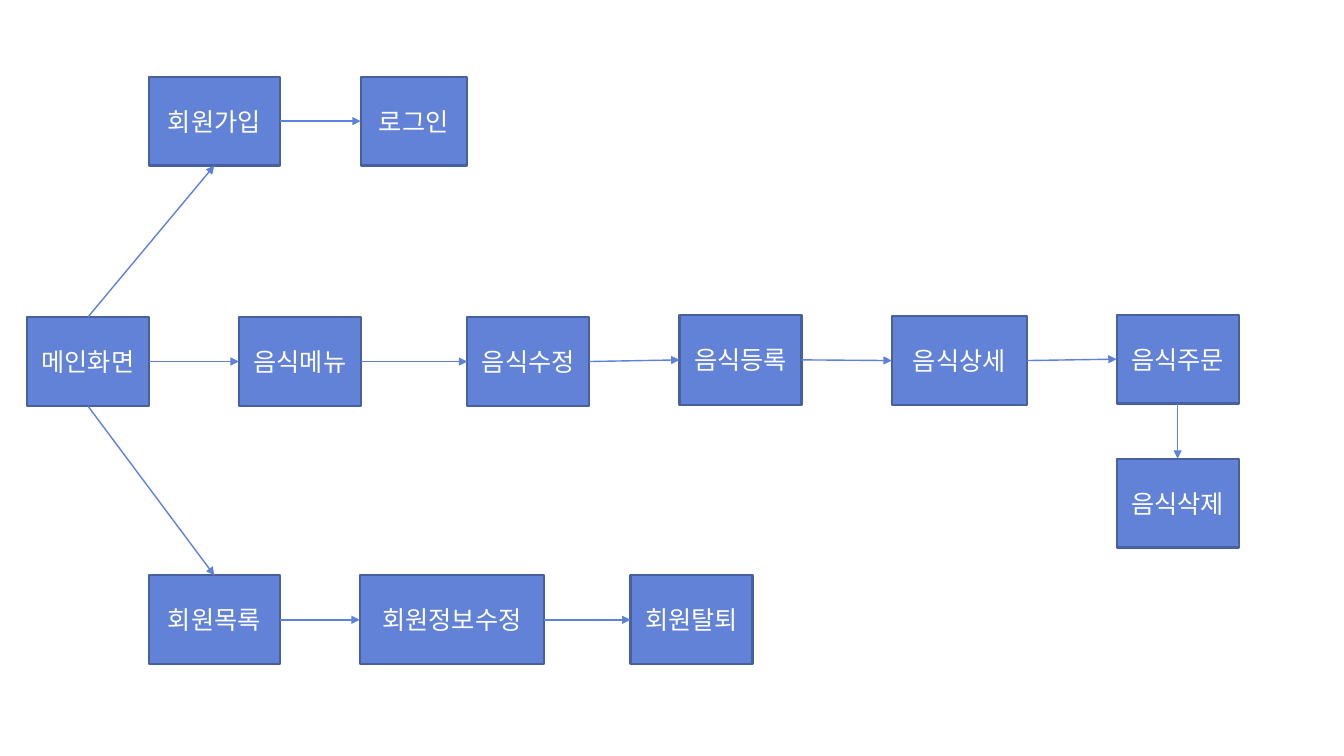
from dataclasses import dataclass

from lxml import etree
from pptx import Presentation
from pptx.dml.color import RGBColor
from pptx.enum import shapes, text
from pptx.oxml.ns import qn
from pptx.util import Pt


@dataclass(frozen=True)
class Theme:
    fill: str = "6182D6"
    edge: str = "48609E"
    arrow: str = "5E81D9"
    ink: str = "FFFFFF"
    font: str = "Calibri"
    size: float = 18
    border: float = 1.5
    stroke: float = 1


TOP, LEFT, BOTTOM, RIGHT = range(4)  # connection sites of a rectangle
WIDE, HIGH = 87.2, 63.5

# label: left, top, width, height
SCREENS = {
    "음식삭제": (797.6, 327.6, WIDE, HIGH),
    "회원탈퇴": (450.4, 411, WIDE, HIGH),
    "음식주문": (797.6, 224.8, WIDE, HIGH),
    "음식상세": (637, 225.8, 96.5, HIGH),
    "회원목록": (106.2, 411, 93.8, HIGH),
    "로그인": (257.6, 54.8, 75.8, HIGH),
    "메인화면": (19.2, 226.5, WIDE, HIGH),
    "회원가입": (106.2, 54.8, 93.8, HIGH),
    "음식등록": (485.4, 224.8, WIDE, 64.5),
    "음식수정": (333.8, 226.5, WIDE, HIGH),
    "음식메뉴": (170.6, 226.5, WIDE, HIGH),
    "회원정보수정": (257, 411, 131.5, HIGH),
}

# screens that follow each other from left to right
CHAINS = [
    ["회원가입", "로그인"],
    ["메인화면", "음식메뉴", "음식수정", "음식등록", "음식상세", "음식주문"],
    ["회원목록", "회원정보수정", "회원탈퇴"],
]

# from, site, to, site
BRANCHES = [
    ("메인화면", TOP, "회원가입", BOTTOM),
    ("메인화면", BOTTOM, "회원목록", TOP),
    ("음식주문", BOTTOM, "음식삭제", TOP),
]


def write(frame, label, *, font, size, ink):
    frame.word_wrap = True
    frame.vertical_anchor = text.MSO_ANCHOR.MIDDLE
    para = frame.paragraphs[0]
    para.alignment = text.PP_ALIGN.CENTER
    run = para.add_run()
    run.text = label
    run.font.name = font
    run.font.size = Pt(size)
    run.font.color.rgb = RGBColor.from_string(ink)


class Sketch:
    def __init__(self, slide, theme):
        self.slide, self.theme = slide, theme

    def stroke(self, line, color, width):
        line.color.rgb = RGBColor.from_string(color)
        line.width = Pt(width)

    def box(self, label, *place):
        look = self.theme
        box = self.slide.shapes.add_shape(
            shapes.MSO_SHAPE.RECTANGLE, *map(Pt, place))
        box.shadow.inherit = False
        box.fill.solid()
        box.fill.fore_color.rgb = RGBColor.from_string(look.fill)
        self.stroke(box.line, look.edge, look.border)
        write(box.text_frame, label,
              font=look.font, size=look.size, ink=look.ink)
        return box

    def arrow(self, start, exit, end, entry):
        """Join two boxes at the given sites, with the head at the end."""
        link = self.slide.shapes.add_connector(
            shapes.MSO_CONNECTOR.STRAIGHT, 0, 0, 0, 0)
        link.begin_connect(start, exit)
        link.end_connect(end, entry)
        self.stroke(link.line, self.theme.arrow, self.theme.stroke)
        props = link._element.spPr
        etree.SubElement(props.find(qn("a:ln")), qn("a:tailEnd"),
                         type="triangle")
        etree.SubElement(props, qn("a:effectLst"))


def main():
    deck = Presentation()
    deck.slide_width, deck.slide_height = Pt(960), Pt(540)
    slide = deck.slides.add_slide(deck.slide_layouts[6])
    sketch = Sketch(slide, Theme())

    boxes = {name: sketch.box(name, *place)
             for name, place in SCREENS.items()}
    steps = [(a, RIGHT, b, LEFT)
             for chain in CHAINS for a, b in zip(chain, chain[1:])]
    for start, exit, end, entry in steps + BRANCHES:
        sketch.arrow(boxes[start], exit, boxes[end], entry)

    deck.save("out.pptx")


if __name__ == "__main__":
    main()
